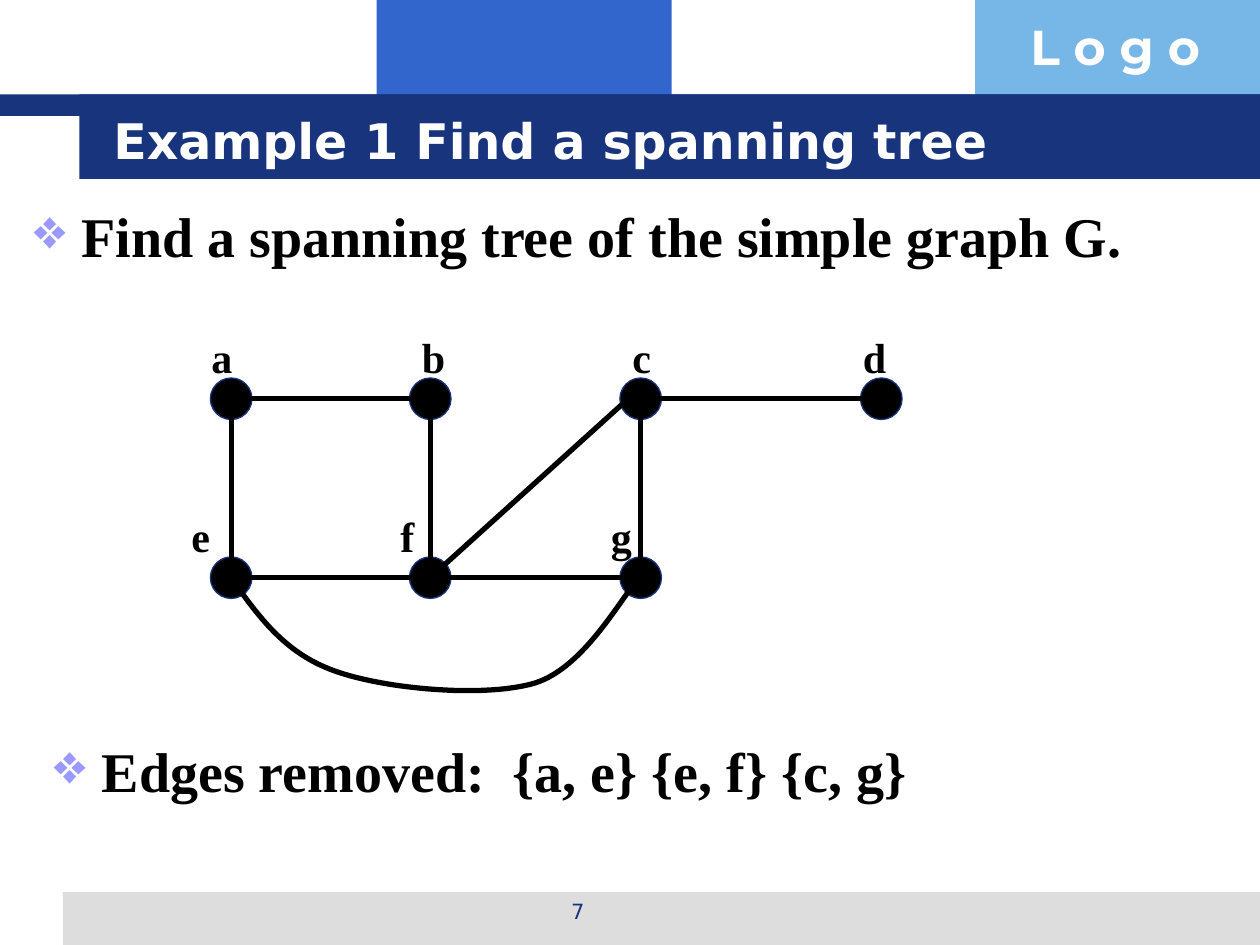
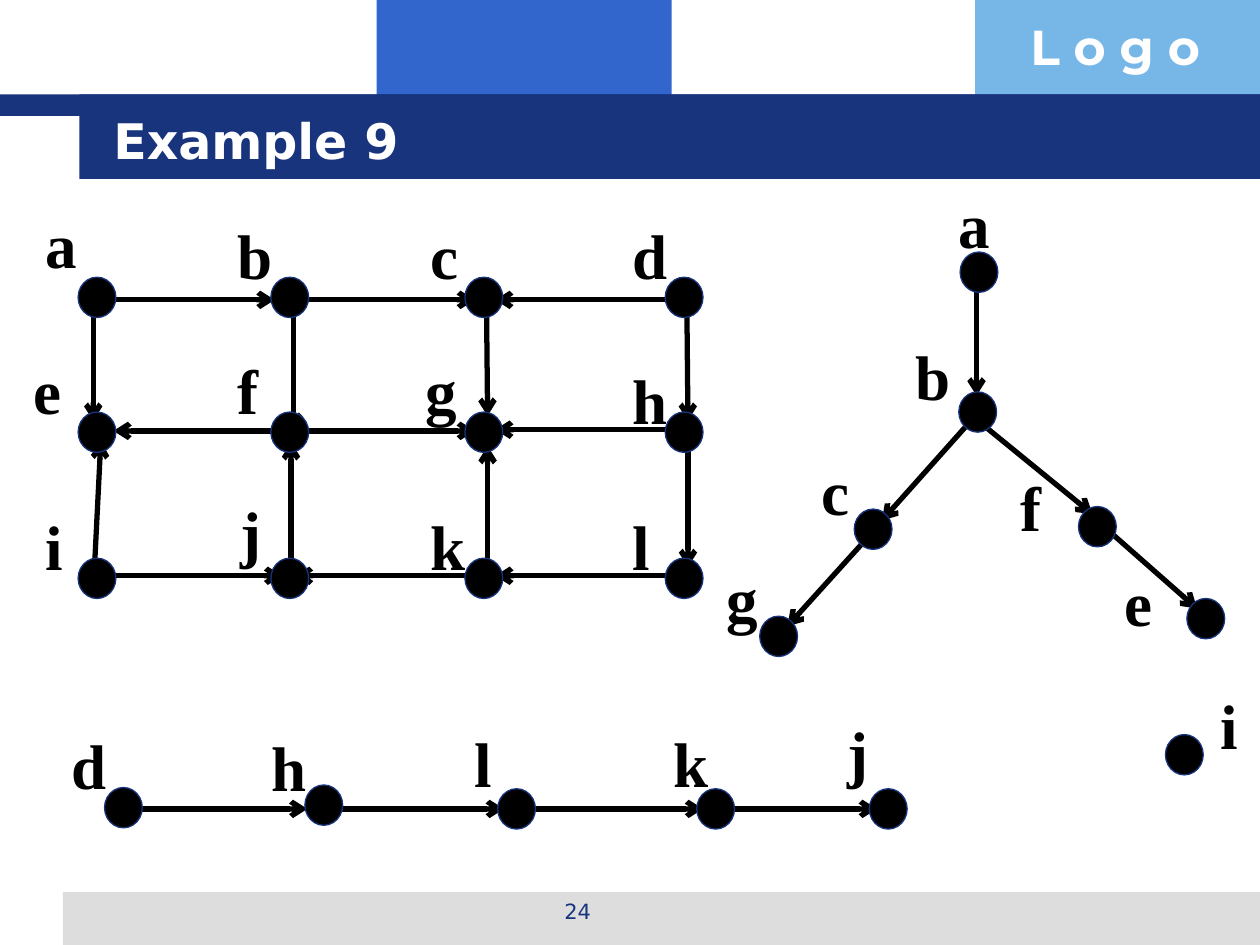
from lxml import etree
from pptx import Presentation
from pptx import util as u
from pptx.dml.color import RGBColor
from pptx.enum import shapes, text
from pptx.oxml.ns import qn

NAVY, BLACK, WHITE, LILAC = "17347D", "000000", "FFFFFF", "9999FF"
SANS, SERIF, LOGO_FONT = "DejaVu Sans", "Times New Roman", "Montserrat"
BANDS = [
    (2.99, 0, 2.34, 0.92, "3366CC"),
    (7.74, 0, 2.26, 0.92, "77B7E7"),
    (0.5, 7.08, 9.5, 0.42, "DDDDDD"),
    (0, 0.75, 10, 0.17, NAVY),
    (0.63, 0.75, 9.37, 0.67, NAVY),
]

BULLETS = [
    ("Find a spanning tree of the simple graph G.", 0.17, 1.55),
    ("Edges removed:  {a, e} {e, f} {c, g}", 0.33, 5.8),
]
GRAPH_NODES = {
    "a": (1.67, 3), "b": (3.25, 3), "c": (4.92, 3), "d": (6.83, 3),
    "e": (1.67, 4.42), "f": (3.25, 4.42), "g": (4.92, 4.42),
}
GRAPH_EDGES = ["ab", "cd", "ef", "fg", "bf", "cg", "ae"]
DIAGONAL = (5.08, 3.08, 3.42, 4.58)
LOOP_START = (1.83, 4.58)
LOOP_CURVES = [
    ((2.05, 4.89), (2.26, 5.19), (2.67, 5.33)),
    ((3.07, 5.47), (3.85, 5.54), (4.25, 5.42)),
    ((4.65, 5.29), (4.94, 4.72), (5.08, 4.58)),
]
GRAPH_LABELS = [
    ("a", 1.58, 2.58), ("b", 3.25, 2.58), ("c", 4.92, 2.58), ("d", 6.75, 2.58),
    ("e", 1.42, 4), ("f", 3.08, 4), ("g", 4.75, 4),
]

GRID_COLUMNS, GRID_ROWS = (0.62, 2.15, 3.69, 5.28), (2.2, 3.27, 4.43)
GRID_ARROWS = [
    (0.74, 2.38, 2.18, 2.38), (2.33, 2.38, 3.77, 2.38), (5.37, 2.38, 3.93, 2.38),
    (2.34, 3.42, 0.9, 3.42), (2.33, 3.42, 3.77, 3.42), (5.37, 3.41, 3.93, 3.41),
    (0.8, 4.57, 2.24, 4.57), (3.78, 4.57, 2.34, 4.57), (5.37, 4.57, 3.93, 4.57),
    (0.74, 2.29, 0.74, 3.34), (2.33, 2.36, 2.33, 3.42), (3.86, 2.29, 3.87, 3.3),
    (5.45, 2.29, 5.46, 3.34), (0.75, 4.5, 0.8, 3.5), (2.31, 4.66, 2.31, 3.51),
    (3.87, 4.7, 3.87, 3.54), (5.46, 3.34, 5.46, 4.5),
]
GRID_LABELS = [
    ("a", 0.26, 1.58), ("b", 1.79, 1.67), ("c", 3.32, 1.67), ("d", 4.92, 1.67),
    ("e", 0.17, 2.74), ("f", 1.79, 2.74), ("g", 3.28, 2.74), ("h", 4.92, 2.82),
    ("i", 0.26, 3.98), ("j", 1.81, 3.87), ("k", 3.32, 3.98), ("l", 4.92, 3.98),
]
TREE_NODES = [(7.62, 2), (7.61, 3.11), (6.78, 4.04), (6.03, 4.89), (8.56, 4.02), (9.42, 4.75)]
TREE_ARROWS = [
    (7.75, 2.08, 7.75, 3.14), (7.75, 3.29, 7, 4.13), (7, 4.14, 6.25, 4.97),
    (7.75, 3.33, 8.67, 4.08), (8.75, 4.17, 9.5, 4.83),
]
TREE_LABELS = [
    ("a", 7.51, 1.42), ("b", 7.17, 2.63), ("c", 6.42, 3.54),
    ("g", 5.67, 4.39), ("f", 8, 3.67), ("e", 8.83, 4.42),
]
CHAIN_NODES = [(0.83, 6.25), (2.42, 6.23), (3.95, 6.26), (5.53, 6.26), (6.9, 6.26)]
CHAIN_ARROWS = [(x1, 6.42, x2, 6.42) for x1, x2 in
                [(1, 2.44), (2.56, 4), (4.14, 5.58), (5.83, 6.96)]]
CHAIN_LABELS = [
    ("d", 0.47, 5.72), ("h", 2.06, 5.73), ("l", 3.67, 5.7), ("k", 5.25, 5.7), ("j", 6.63, 5.61),
]
LONE_NODE, LONE_LABEL = (9.25, 5.83), ("i", 9.59, 5.4)


def rgb(value):
    """Turn a hex string into a colour."""
    return RGBColor.from_string(value)


def inches(*values):
    """Turn numbers into lengths."""
    return [u.Inches(v) for v in values]


def format_text(tf, content, size, font, color, bold=True, align=text.PP_ALIGN.LEFT):
    """Fill a text frame with one formatted paragraph."""
    tf.text = content
    tf.word_wrap = True
    tf.auto_size = text.MSO_AUTO_SIZE.NONE
    p = tf.paragraphs[0]
    p.alignment = align
    f = p.runs[0].font
    f.size, f.name, f.bold = u.Pt(size), font, bold
    f.color.rgb = rgb(color)
    return p


def add_text(s, box, *args, **kwargs):
    """Add a text box and return its paragraph."""
    return format_text(s.shapes.add_textbox(*inches(*box)).text_frame, *args, **kwargs)


def add_bullet(s, content, left, top):
    """Add a large line with a diamond bullet."""
    p = add_text(s, (left, top, 9, 0.7), content, 32, SERIF, BLACK)
    pPr = p._p.get_or_add_pPr()
    pPr.set("marL", str(u.Inches(0.38)))
    pPr.set("indent", str(u.Inches(-0.38)))
    color = etree.SubElement(pPr, qn("a:buClr"))
    etree.SubElement(color, qn("a:srgbClr"), val=LILAC)
    etree.SubElement(pPr, qn("a:buChar"), char="❖")


def add_labels(s, labels, size, width, height):
    """Add the letters beside the nodes."""
    for letter, left, top in labels:
        add_text(s, (left, top, width, height), letter, size, SERIF, BLACK)


def add_nodes(s, corners, width, height):
    """Add a black dot at each corner position."""
    for left, top in corners:
        sp = s.shapes.add_shape(shapes.MSO_SHAPE.OVAL, *inches(left, top, width, height))
        sp.shadow.inherit = False
        sp.fill.solid()
        sp.fill.fore_color.rgb = rgb(BLACK)
        sp.line.color.rgb = rgb(NAVY)
        sp.line.width = u.Pt(0.75)


def add_edges(s, edges, arrow=False):
    """Add straight edges, pointing at their end if asked."""
    for edge in edges:
        c = s.shapes.add_connector(shapes.MSO_CONNECTOR.STRAIGHT, *inches(*edge))
        c.line.color.rgb = rgb(BLACK)
        c.line.width = u.Pt(3)
        if arrow:
            etree.SubElement(c.line._get_or_add_ln(), qn("a:tailEnd"), type="arrow")
        etree.SubElement(c._element.spPr, qn("a:effectLst"))


def curve_points(start, curves, steps=24):
    """Return points along joined cubic curves."""
    points = []
    for c1, c2, end in curves:
        for i in range(1, steps + 1):
            t = i / steps
            weights = ((1 - t) ** 3, 3 * t * (1 - t) ** 2, 3 * t * t * (1 - t), t ** 3)
            points.append(tuple(sum(w * q[axis] for w, q in zip(weights, (start, c1, c2, end)))
                                for axis in (0, 1)))
        start = end
    return points


def add_loop(s):
    """Add the curved edge below the graph."""
    builder = s.shapes.build_freeform(*inches(*LOOP_START))
    points = curve_points(LOOP_START, LOOP_CURVES)
    builder.add_line_segments([inches(*pt) for pt in points], close=False)
    sp = builder.convert_to_shape()
    sp.shadow.inherit = False
    sp.fill.background()
    sp.line.color.rgb = rgb(BLACK)
    sp.line.width = u.Pt(3)


def new_slide(prs, title, number):
    """Add a slide with bands, logo word, title and number."""
    s = prs.slides.add_slide(prs.slide_layouts[5])
    for *box, color in BANDS:
        sp = s.shapes.add_shape(shapes.MSO_SHAPE.RECTANGLE, *inches(*box))
        sp.shadow.inherit = False
        sp.fill.solid()
        sp.fill.fore_color.rgb = rgb(color)
        sp.line.fill.background()
    add_text(s, (8.08, 0.08, 1.93, 0.57), "L o g o", 28, LOGO_FONT, WHITE)
    add_text(s, (3.42, 7.08, 2.33, 0.35), str(number), 12, SANS, NAVY,
             bold=False, align=text.PP_ALIGN.CENTER)
    sp = s.shapes.title
    s.shapes._spTree.append(sp._element)
    sp.left, sp.top, sp.width, sp.height = inches(0.8, 0.8, 8.53, 0.62)
    format_text(sp.text_frame, title, 28, SANS, WHITE)
    sp.text_frame.vertical_anchor = text.MSO_ANCHOR.MIDDLE
    return s


def spanning_tree_slide(prs):
    """Build the simple graph and its removed edges."""
    s = new_slide(prs, "Example 1 Find a spanning tree", 7)
    for bullet in BULLETS:
        add_bullet(s, *bullet)
    size = 0.33
    centres = {n: (x + size / 2, y + size / 2) for n, (x, y) in GRAPH_NODES.items()}
    add_nodes(s, GRAPH_NODES.values(), size, size)
    add_edges(s, [centres[n1] + centres[n2] for n1, n2 in GRAPH_EDGES] + [DIAGONAL])
    add_loop(s)
    add_labels(s, GRAPH_LABELS, 24, 0.42, 0.5)


def search_forest_slide(prs):
    """Build the directed grid and its forest."""
    s = new_slide(prs, "Example 9", 24)
    grid_nodes = [(x, y) for y in GRID_ROWS for x in GRID_COLUMNS]
    add_edges(s, GRID_ARROWS + TREE_ARROWS + CHAIN_ARROWS, arrow=True)
    add_nodes(s, grid_nodes + TREE_NODES + CHAIN_NODES + [LONE_NODE], 0.3, 0.32)
    add_labels(s, GRID_LABELS + TREE_LABELS + CHAIN_LABELS + [LONE_LABEL], 36, 0.54, 0.71)


def main():
    """Build and save the slides."""
    prs = Presentation()
    prs.slide_width, prs.slide_height = inches(10, 7.5)
    spanning_tree_slide(prs)
    search_forest_slide(prs)
    prs.save("out.pptx")


if __name__ == "__main__":
    main()
